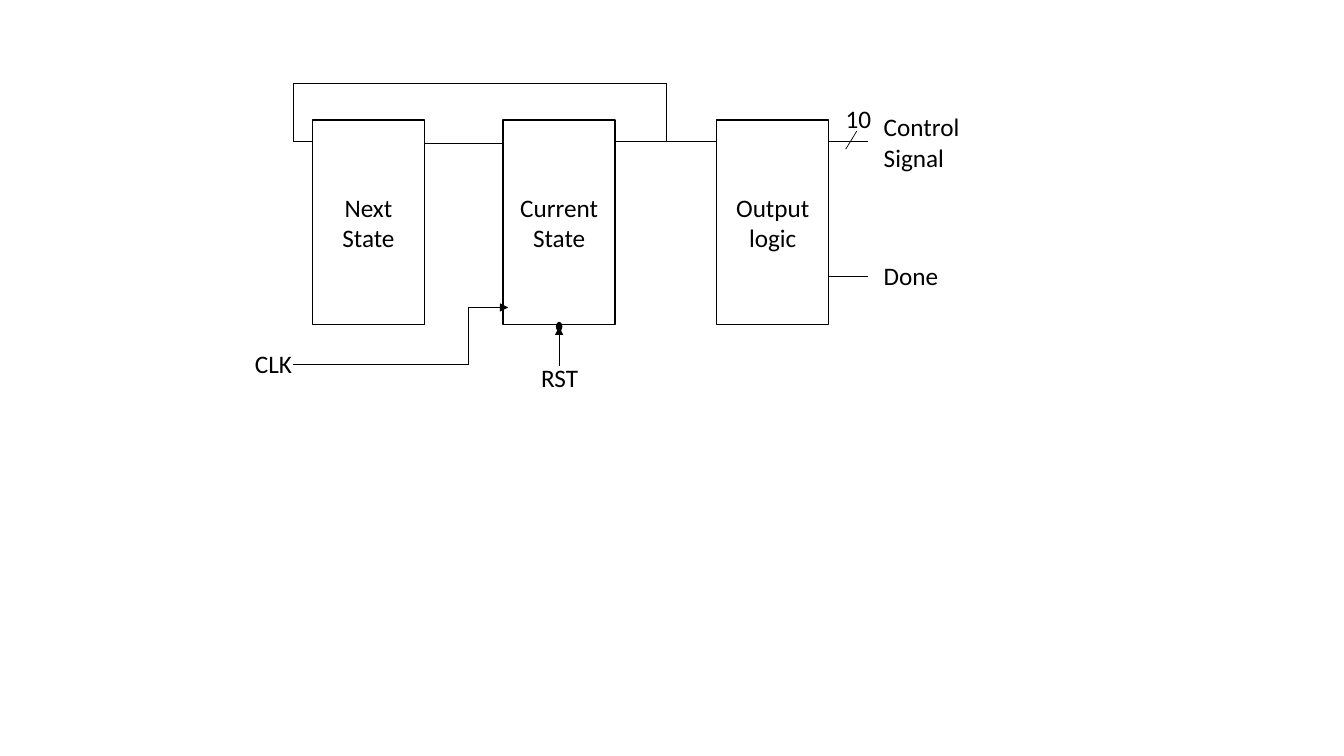
"""Build a block diagram of a state machine with its clock, reset and output signals."""
from pptx import Presentation
from pptx import util as u
from pptx.dml.color import RGBColor
from pptx.enum import shapes, text
from pptx.oxml import parse_xml
from pptx.oxml.ns import nsdecls, qn

Pt = u.Pt
BLACK = RGBColor(0, 0, 0)
WHITE = RGBColor(255, 255, 255)

TOP, WIDE, HIGH = 85.7, 80, 146.2
NEXT, CURR, OUT = 223.2, 359.4, 512
BUS = 100.8
LOOP, TAP, ROOF = 209.5, 476, 59.4
STEP, CLOCK, EDGE = 334.8, 260.2, 219.6
MID = CURR + WIDE / 2
END = OUT + WIDE + 28
DONE = 197.3

blocks = [("Next State", NEXT), ("Current State", CURR), ("Output logic", OUT)]
labels = [
    ("RST", 379.4, 255.6, 57, 28.8),
    ("CLK", 175, 245.5, 68.4, 28.8),
    ("Control Signal", 624.2, 76.3, 81.4, 51.1),
    ("10", 597, 70.6, 81.4, 28.8),
    ("Done", 624.2, 182.2, 81.4, 28.8),
]
wires = {
    "feedback": [(TAP, BUS), (TAP, ROOF), (LOOP, ROOF), (LOOP, BUS), (NEXT, BUS)],
    "next": [(NEXT + WIDE, 102.2), (CURR, 102.2)],
    "state": [(CURR + WIDE, BUS), (OUT, BUS)],
    "control": [(OUT + WIDE, BUS), (END, BUS)],
    "slash": [(604.1, 106.6), (612, 93.6)],
    "done": [(OUT + WIDE, DONE), (END, DONE)],
    "clock": [(LOOP, CLOCK), (STEP, CLOCK), (STEP, EDGE), (363, EDGE)],
    "reset": [(MID, 261.4), (MID, 233.3)],
}
arrows = {"clock", "reset"}

deck = Presentation()
deck.slide_width, deck.slide_height = Pt(960), Pt(540)
slide = deck.slides.add_slide(deck.slide_layouts[6])
parts = slide.shapes


def write(shape, words, align=text.PP_ALIGN.LEFT, anchor=text.MSO_ANCHOR.TOP,
          size=18, font="Calibri", color=BLACK):
    frame = shape.text_frame
    frame.word_wrap = True
    frame.vertical_anchor = anchor
    para = frame.paragraphs[0]
    para.alignment = align
    run = para.add_run()
    run.text = words
    run.font.size, run.font.name = Pt(size), font
    run.font.color.rgb = color


def draw(kind, x, y, w, h, fill):
    shape = parts.add_shape(kind, Pt(x), Pt(y), Pt(w), Pt(h))
    shape.shadow.inherit = False
    shape.fill.solid()
    shape.fill.fore_color.rgb = fill
    shape.line.color.rgb = BLACK
    shape.line.width = Pt(1)
    return shape


def wire(start, end, arrow):
    line = parts.add_connector(shapes.MSO_CONNECTOR.STRAIGHT, *map(Pt, start + end))
    line.line.color.rgb = BLACK
    line.line.width = Pt(0.5)
    props = line._element.spPr
    props.append(parse_xml(f"<a:effectLst {nsdecls('a')}/>"))
    if arrow:
        tip = parse_xml(f"<a:tailEnd {nsdecls('a')} type='triangle'/>")
        props.find(qn("a:ln")).append(tip)


for words, x in blocks:
    box = draw(shapes.MSO_SHAPE.RECTANGLE, x, TOP, WIDE, HIGH, WHITE)
    write(box, words, align=text.PP_ALIGN.CENTER, anchor=text.MSO_ANCHOR.MIDDLE)

for name, points in wires.items():
    for start, end in zip(points, points[1:]):
        wire(start, end, name in arrows and end == points[-1])

draw(shapes.MSO_SHAPE.OVAL, MID - 1.8, 230.4, 3.6, 5.8, BLACK)

for words, *place in labels:
    write(parts.add_textbox(*map(Pt, place)), words)

deck.save("out.pptx")
